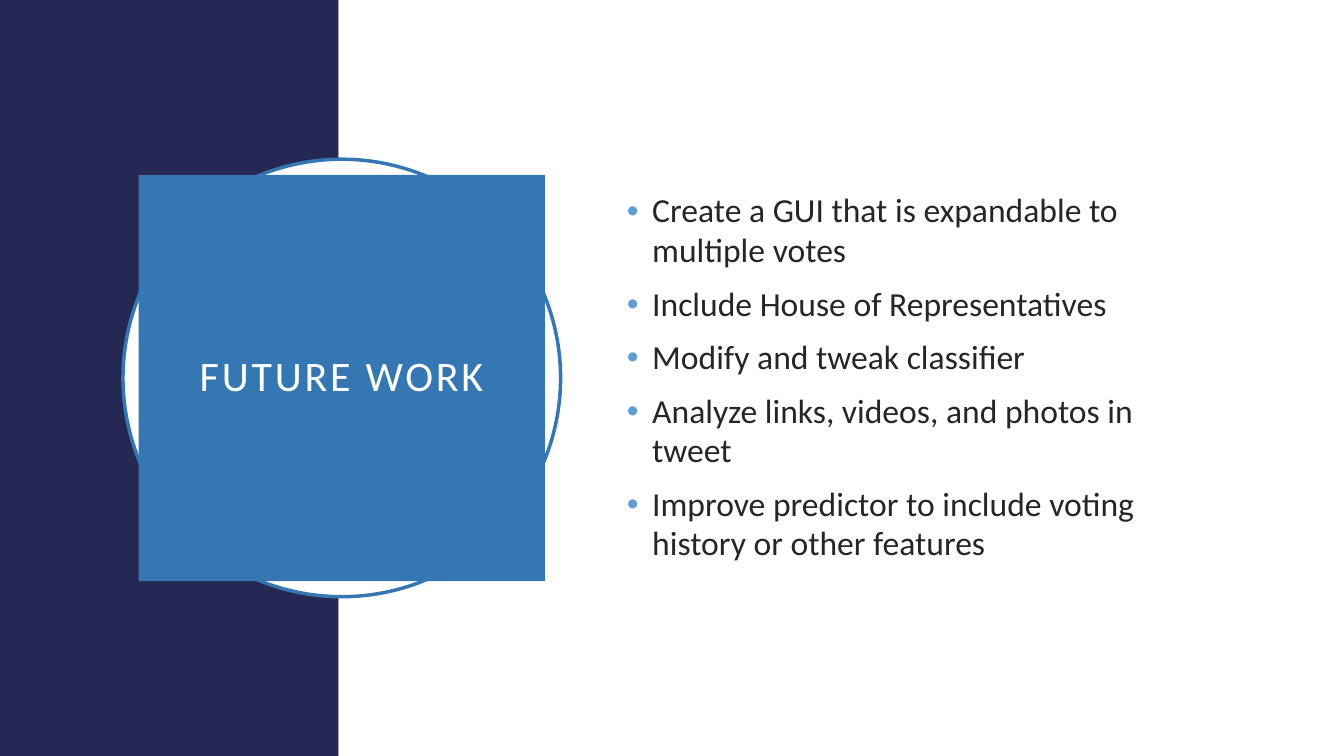
from typing import NamedTuple, Optional

from lxml.etree import SubElement
from pptx import Presentation
from pptx.dml.color import RGBColor
from pptx.enum.shapes import MSO_SHAPE as Preset
from pptx.enum.text import MSO_ANCHOR as Anchor, PP_ALIGN as Align
from pptx.oxml.ns import qn
from pptx.util import Inches, Pt

NAVY = RGBColor(0x24, 0x28, 0x52)
WHITE = RGBColor(0xFF, 0xFF, 0xFF)
BLUE = RGBColor(0x34, 0x77, 0xB2)
BULLET_BLUE = RGBColor(0x62, 0x9D, 0xD1)
INK = RGBColor(0x26, 0x26, 0x26)
FONT = "Calibri"

WIDTH, HEIGHT = 13.33, 7.5
SPLIT = 3.36                      # edge between the navy and white panels
BADGE_X, BADGE_Y = 3.39, HEIGHT / 2  # shared centre of ring and title
RING, TITLE = 4.34, 4.03          # side lengths

GOALS = (
    "Create a GUI that is expandable to multiple votes",
    "Include House of Representatives",
    "Modify and tweak classifier",
    "Analyze links, videos, and photos in tweet",
    "Improve predictor to include voting history or other features",
)


class Block(NamedTuple):
    preset: Preset
    left: float
    top: float
    width: float
    height: float
    fill: RGBColor
    outline: Optional[RGBColor] = None


def centred(preset: Preset, side: float, fill: RGBColor,
            outline: Optional[RGBColor] = None) -> Block:
    """Return a square block around the badge centre."""
    return Block(preset, BADGE_X - side / 2, BADGE_Y - side / 2,
                 side, side, fill, outline)


def draw(slide, block: Block):
    shape = slide.shapes.add_shape(block.preset, *map(Inches, block[1:5]))
    shape.shadow.inherit = False
    shape.fill.solid()
    shape.fill.fore_color.rgb = block.fill
    if block.outline is None:
        shape.line.fill.background()
    else:
        shape.line.color.rgb = block.outline
        shape.line.width = Pt(2.5)
    return shape


def set_font(paragraph, size: float, color: RGBColor) -> None:
    font = paragraph.font
    font.name, font.size, font.color.rgb = FONT, Pt(size), color


def add_bullet(paragraph) -> None:
    props = paragraph._p.get_or_add_pPr()
    props.set("marL", str(Inches(0.25)))
    props.set("indent", str(Inches(-0.25)))
    color = SubElement(props, qn("a:buClr"))
    SubElement(color, qn("a:srgbClr")).set("val", str(BULLET_BLUE))
    SubElement(props, qn("a:buFont")).set("typeface", "Arial")
    SubElement(props, qn("a:buChar")).set("char", "•")


def write_title(shape, text: str) -> None:
    frame = shape.text_frame
    frame.word_wrap = True
    frame.vertical_anchor = Anchor.MIDDLE
    frame.margin_left = frame.margin_right = Inches(0.2)
    frame.margin_top = frame.margin_bottom = Inches(0.2)
    heading = frame.paragraphs[0]
    heading.alignment = Align.CENTER
    heading.line_spacing = 0.9
    run = heading.add_run()
    run.text = text
    run.font._element.set("spc", "200")  # letter spacing of 2 pt
    set_font(heading, 30, WHITE)


def write_goals(slide) -> None:
    box = slide.shapes.add_textbox(*map(Inches, (6.12, 1.53, 5.82, 4.43)))
    frame = box.text_frame
    frame.word_wrap = True
    frame.vertical_anchor = Anchor.MIDDLE
    for index, goal in enumerate(GOALS):
        item = frame.add_paragraph() if index else frame.paragraphs[0]
        item.text = goal
        item.line_spacing = 0.98
        item.space_before = Pt(10)
        add_bullet(item)
        set_font(item, 24, INK)


deck = Presentation()
deck.slide_width, deck.slide_height = Inches(WIDTH), Inches(HEIGHT)
slide = deck.slides.add_slide(deck.slide_layouts[6])

# Background panels
draw(slide, Block(Preset.RECTANGLE, 0, 0, SPLIT, HEIGHT, NAVY))
draw(slide, Block(Preset.RECTANGLE, SPLIT, 0, WIDTH - SPLIT, HEIGHT, WHITE))

# Title badge
draw(slide, centred(Preset.OVAL, RING, WHITE, BLUE))
write_title(draw(slide, centred(Preset.RECTANGLE, TITLE, BLUE)), "FUTURE WORK")

# Bulleted goals
write_goals(slide)

deck.save("out.pptx")
